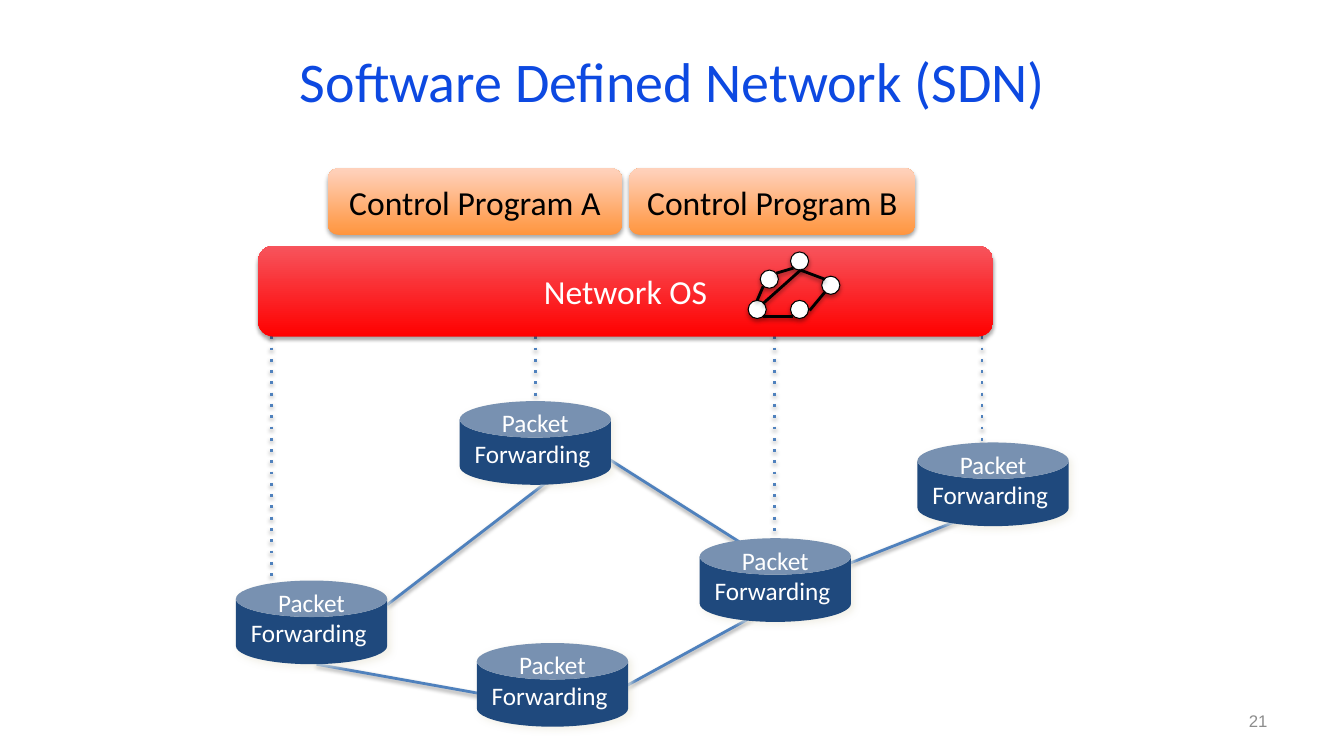
import pptx
import pptx.util
import pptx.dml.color
import pptx.enum.shapes
import pptx.enum.text
import pptx.oxml
import pptx.oxml.ns
from lxml import etree

Inches = pptx.util.Inches
Pt = pptx.util.Pt
SHAPE = pptx.enum.shapes.MSO_SHAPE
ALIGN = pptx.enum.text.PP_ALIGN

COLORS = {
    "title": "0D49E1", "number": "8C8C8C", "black": "000000", "white": "FFFFFF",
    "program_low": "FF953E", "program_high": "FFD2BD",
    "system_low": "FF0000", "system_high": "F7545C",
    "router": "1F497D", "link": "4F81BD", "router_shadow": "EEECE1",
}
# Shadows: colour, opacity %, blur pt, distance pt, direction in degrees
BOX_SHADOW = ("black", 35, 3.1, 1.8, 90)
LINE_SHADOW = ("black", 38, 3.1, 1.6, 90)
ROUTER_SHADOW = ("router_shadow", 75, 5, 3, 45)


def rgb(name):
    return pptx.dml.color.RGBColor.from_string(COLORS[name])


def cast_shadow(part, shadow):
    color, opacity, blur, distance, direction = shadow
    part._element.spPr.append(pptx.oxml.parse_xml(
        f'<a:effectLst {pptx.oxml.ns.nsdecls("a")}>'
        f'<a:outerShdw blurRad="{Pt(blur)}" dist="{Pt(distance)}" '
        f'dir="{direction * 60000}" rotWithShape="0">'
        f'<a:srgbClr val="{COLORS[color]}"><a:alpha val="{opacity * 1000}"/></a:srgbClr>'
        '</a:outerShdw></a:effectLst>'))


def write(part, lines, size, color, align=ALIGN.CENTER, font="Calibri", wrap=True):
    frame = part.text_frame
    frame.word_wrap = wrap
    frame.vertical_anchor = pptx.enum.text.MSO_ANCHOR.MIDDLE
    for index, line in enumerate(lines):
        paragraph = frame.add_paragraph() if index else frame.paragraphs[0]
        paragraph.alignment = align
        run = paragraph.add_run()
        run.text = line
        run.font.name = font
        run.font.size = Pt(size)
        run.font.color.rgb = rgb(color)


def add_label(slide, box, text, size, color, align=ALIGN.CENTER, font="Calibri"):
    label = slide.shapes.add_textbox(*map(Inches, box))
    write(label, [text], size, color, align, font)


def add_line(shapes, start, end, color, dotted=False):
    line = shapes.add_connector(pptx.enum.shapes.MSO_CONNECTOR.STRAIGHT,
                                *map(Inches, (*start, *end)))
    line.line.color.rgb = rgb(color)
    line.line.width = Pt(2)
    if dotted:
        dash = etree.SubElement(line.line._get_or_add_ln(), pptx.oxml.ns.qn("a:prstDash"))
        dash.set("val", "dot")
    cast_shadow(line, LINE_SHADOW)


def add_control_box(slide, box, text, low, high, color):
    control = slide.shapes.add_shape(SHAPE.ROUNDED_RECTANGLE, *map(Inches, box))
    control.fill.gradient()
    control.fill.gradient_angle = 90
    for stop, name, position in zip(control.fill.gradient_stops, (low, high), (0, 1)):
        stop.color.rgb = rgb(name)
        stop.position = position
    control.line.fill.background()
    cast_shadow(control, BOX_SHADOW)
    write(control, [text], 24, color)


def add_router(slide, left, top):
    router = slide.shapes.add_shape(SHAPE.CAN, *map(Inches, (left, top, 1.5, 0.83)))
    router.adjustments[0] = 0.436
    router.fill.solid()
    router.fill.fore_color.rgb = rgb("router")
    router.line.fill.background()
    cast_shadow(router, ROUTER_SHADOW)
    write(router, ["Packet", "Forwarding "], 18, "white", wrap=False)
    # Raise the label so that its first line sits on the lid
    router.text_frame.margin_top = Inches(-0.23)


def add_forwarding_layer(slide, left, top):
    def at(x, y):
        return left + x, top + y

    # Links between routers
    for start, end in [((1.5, 2.02), (3.32, 0.62)), ((3.55, 0.48), (5, 1.4)),
                       ((3.66, 2.94), (5.34, 2.02)), ((0.8, 2.61), (2.64, 2.94)),
                       ((5.83, 1.71), (7.4, 1.09))]:
        add_line(slide.shapes, at(*start), at(*end), "link")
    # Control channels down from the network OS
    for x, bottom in [(0.35, 1.95), (2.97, 0), (5.34, 1.4), (7.4, 0.48)]:
        add_line(slide.shapes, at(x, -1.09), at(x, bottom), "link", dotted=True)
    # Routers
    for x, y in [(0, 1.78), (2.39, 2.4), (2.22, 0), (4.6, 1.36), (6.76, 0.41)]:
        add_router(slide, *at(x, y))


def add_topology_map(slide, left, top):
    topology = slide.shapes.add_group_shape()

    def at(x, y):
        return left + x, top + y

    for x, y in [(0.12, 0.18), (0.42, 0), (0.42, 0.48), (0.73, 0.24), (0, 0.48)]:
        node = topology.shapes.add_shape(SHAPE.OVAL, *map(Inches, (*at(x, y), 0.18, 0.18)))
        node.fill.solid()
        node.fill.fore_color.rgb = rgb("white")
        node.line.color.rgb = rgb("black")
        node.line.width = Pt(0.75)
        cast_shadow(node, BOX_SHADOW)
    for start, end in [((0.28, 0.21), (0.45, 0.16)), ((0.09, 0.48), (0.15, 0.34)),
                       ((0.15, 0.51), (0.52, 0.18)), ((0.15, 0.64), (0.45, 0.64)),
                       ((0.52, 0.18), (0.76, 0.27)), ((0.61, 0.58), (0.76, 0.4))]:
        add_line(topology.shapes, at(*start), at(*end), "black")


def add_control_layer(slide, left, top):
    for name, x, width in [("A", 0.69, 2.92), ("B", 3.68, 2.84)]:
        add_control_box(slide, (left + x, top, width, 0.66), f"Control Program {name}",
                        "program_low", "program_high", "black")
    add_control_box(slide, (left, top + 0.77, 7.29, 0.9), "Network OS",
                    "system_low", "system_high", "white")
    add_topology_map(slide, left + 4.86, top + 0.83)


def main():
    deck = pptx.Presentation()
    deck.slide_width = Inches(13.33)
    deck.slide_height = Inches(7.5)
    slide = deck.slides.add_slide(deck.slide_layouts[6])

    add_label(slide, (2.17, 0.17, 9, 1.25), "Software Defined Network (SDN)", 40, "title")
    add_forwarding_layer(slide, 2.34, 3.98)
    add_control_layer(slide, 2.56, 1.67)
    add_label(slide, (9.56, 6.95, 3.11, 0.4), "21", 12, "number", ALIGN.RIGHT, "Arial")

    deck.save("out.pptx")


if __name__ == "__main__":
    main()
